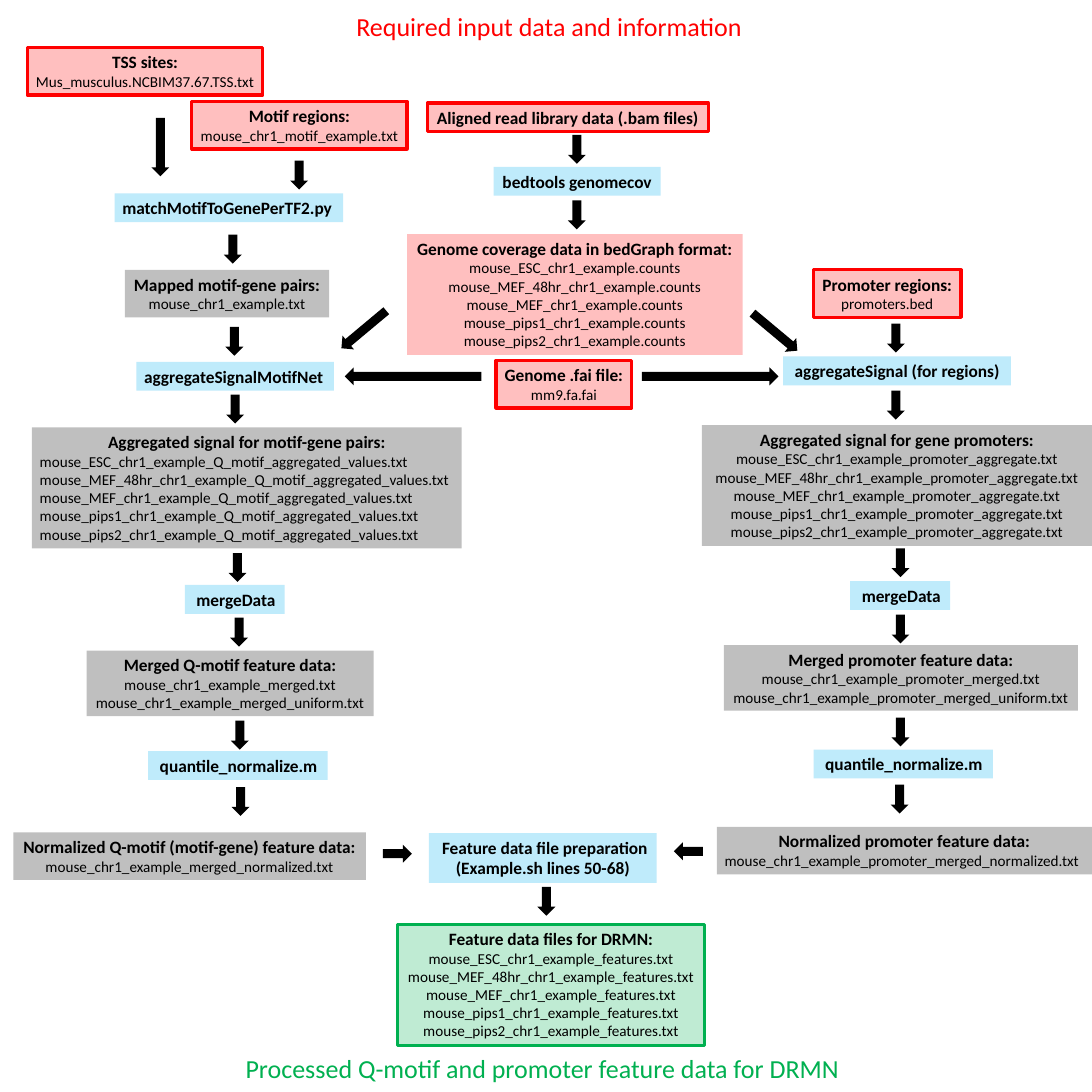
import pptx
import pptx.dml.color
import pptx.enum.shapes
import pptx.enum.text
import pptx.util
from lxml import etree
from pptx.oxml.ns import qn

EMU_PER_PX = 9144  # 100 px to the inch
RED, BLUE, GREEN, BLACK = "FF0000", "00B0F0", "00B050", "000000"
LEFT = pptx.enum.text.PP_ALIGN.LEFT
CENTER = pptx.enum.text.PP_ALIGN.CENTER
SHAPES = pptx.enum.shapes.MSO_SHAPE
SAMPLES = ["ESC", "MEF_48hr", "MEF", "pips1", "pips2"]

# left, top, width, tint, heading, file names
DATA_BOXES = [
    (522, 300, 430, RED, "Genome coverage data in bedGraph format:",
     [f"mouse_{sample}_chr1_example.counts" for sample in SAMPLES]),
    (160, 346, 262, BLACK, "Mapped motif-gene pairs:", ["mouse_chr1_example.txt"]),
    (900, 545, 500, BLACK, "Aggregated signal for gene promoters:",
     [f"mouse_{sample}_chr1_example_promoter_aggregate.txt" for sample in SAMPLES]),
    (111, 834, 368, BLACK, "Merged Q-motif feature data:",
     ["mouse_chr1_example_merged.txt", "mouse_chr1_example_merged_uniform.txt"]),
    (928, 827, 454, BLACK, "Merged promoter feature data:",
     ["mouse_chr1_example_promoter_merged.txt",
      "mouse_chr1_example_promoter_merged_uniform.txt"]),
    (17, 1067, 452, BLACK, "Normalized Q-motif (motif-gene) feature data:",
     ["mouse_chr1_example_merged_normalized.txt"]),
]
LEFT_LISTED_BOXES = [
    (41, 548, 551, BLACK, "Aggregated signal for motif-gene pairs:",
     [f"mouse_{sample}_chr1_example_Q_motif_aggregated_values.txt" for sample in SAMPLES]),
    (919, 1060, 481, BLACK, "Normalized promoter feature data:",
     ["mouse_chr1_example_promoter_merged_normalized.txt"]),
]
OUTLINED_BOXES = [
    (246, 130, 276, RED, "Motif regions:", ["mouse_chr1_motif_example.txt"]),
    (35, 61, 302, RED, "TSS sites:", ["Mus_musculus.NCBIM37.67.TSS.txt"]),
    (548, 132, 360, RED, "Aligned read library data (.bam files)", []),
    (636, 462, 174, RED, "Genome .fai file:", ["mm9.fa.fai"]),
    (1043, 346, 189, RED, "Promoter regions:", ["promoters.bed"]),
    (510, 1185, 393, GREEN, "Feature data files for DRMN:",
     [f"mouse_{sample}_chr1_example_features.txt" for sample in SAMPLES]),
]
# left, top, width, program
STEPS = [
    (147, 248, 293, "matchMotifToGenePerTF2.py"),
    (175, 464, 253, "aggregateSignalMotifNet"),
    (1004, 457, 292, " aggregateSignal (for regions)"),
    (1090, 745, 128, " mergeData"),
    (237, 750, 128, " mergeData"),
    (190, 963, 230, " quantile_normalize.m"),
    (1043, 961, 230, " quantile_normalize.m"),
]
CENTERED_STEPS = [
    (633, 214, 214, "bedtools genomecov"),
    (550, 1068, 292, " Feature data file preparation\n(Example.sh lines 50-68)"),
]
SHORT_ARROWS = [
    (728, 173), (728, 257), (372, 206),
    (287, 301), (289, 419), (290, 506), (293, 709), (295, 792), (296, 924), (297, 1009),
    (1137, 415), (1137, 501), (1143, 703), (1143, 788), (1143, 920), (1142, 1006),
    (689, 1137),
]
# left, top, length, rotation of a downward arrow
OTHER_ARROWS = [
    (194, 151, 75, 0),
    (455, 385, 75, 50.1), (982, 388, 75, 309.9),
    (518, 395, 175, 90), (899, 395, 175, 270),
    (498, 1076, 37, 270), (871, 1073, 37, 90),
]


def px(length):
    return pptx.util.Emu(length * EMU_PER_PX)


def color(hex_code):
    return pptx.dml.color.RGBColor.from_string(hex_code)


def add_solid_shape(page, kind, left, top, width, height, fill):
    shape = page.shapes.add_shape(kind, px(left), px(top), px(width), px(height))
    shape.shadow.inherit = False
    shape.fill.solid()
    shape.fill.fore_color.rgb = color(fill)
    shape.line.fill.background()
    return shape


def make_translucent(shape, percent):
    tint = shape.element.spPr.find(qn("a:solidFill"))[0]
    etree.SubElement(tint, qn("a:alpha")).set("val", str(percent * 1000))


def fit_frame(frame):
    frame.word_wrap = False
    frame.auto_size = pptx.enum.text.MSO_AUTO_SIZE.SHAPE_TO_FIT_TEXT
    frame.vertical_anchor = pptx.enum.text.MSO_ANCHOR.TOP


def format_paragraph(para, size, hex_code, bold, align):
    para.alignment = align
    for span in para.runs:
        span.font.name = "Calibri"
        span.font.size = pptx.util.Pt(size)
        span.font.bold = bold
        span.font.color.rgb = color(hex_code)


def add_box(page, left, top, width, tint, heading, files=(),
            heading_align=CENTER, file_align=CENTER, outlined=False):
    """Add a tinted box of bold heading lines above plain file names."""
    headings = heading.split("\n")
    height = round(10 + 27 * len(headings) + 23.6 * len(files))
    box = add_solid_shape(page, SHAPES.RECTANGLE, left, top, width, height, tint)
    make_translucent(box, 25)
    if outlined:
        box.line.color.rgb = color(tint)
        box.line.width = pptx.util.Pt(3)
    frame = box.text_frame
    fit_frame(frame)
    frame.text = "\n".join([*headings, *files])
    for index, para in enumerate(frame.paragraphs):
        if index < len(headings):
            format_paragraph(para, 16, BLACK, True, heading_align)
        else:
            format_paragraph(para, 14, BLACK, False, file_align)


def add_arrow(page, left, top, length=37, rotation=0):
    arrow = add_solid_shape(page, SHAPES.DOWN_ARROW, left, top, 23, length, BLACK)
    arrow.rotation = rotation


def add_caption(page, left, top, width, text, hex_code):
    box = page.shapes.add_textbox(px(left), px(top), px(width), px(50))
    fit_frame(box.text_frame)
    box.text_frame.text = text
    format_paragraph(box.text_frame.paragraphs[0], 24, hex_code, False, LEFT)


def main():
    deck = pptx.Presentation()
    deck.slide_width = deck.slide_height = px(1400)
    page = deck.slides.add_slide(deck.slide_layouts[6])

    for box in DATA_BOXES:
        add_box(page, *box)
    for box in LEFT_LISTED_BOXES:
        add_box(page, *box, file_align=LEFT)
    for box in OUTLINED_BOXES:
        add_box(page, *box, outlined=True)
    for steps, align in ((STEPS, LEFT), (CENTERED_STEPS, CENTER)):
        for left, top, width, program in steps:
            add_box(page, left, top, width, BLUE, program, heading_align=align)
    for arrow in SHORT_ARROWS + OTHER_ARROWS:
        add_arrow(page, *arrow)

    add_caption(page, 447, 9, 519, "Required input data and information", RED)
    add_caption(page, 305, 1345, 788,
                "Processed Q-motif and promoter feature data for DRMN", GREEN)
    deck.save("out.pptx")


if __name__ == "__main__":
    main()
